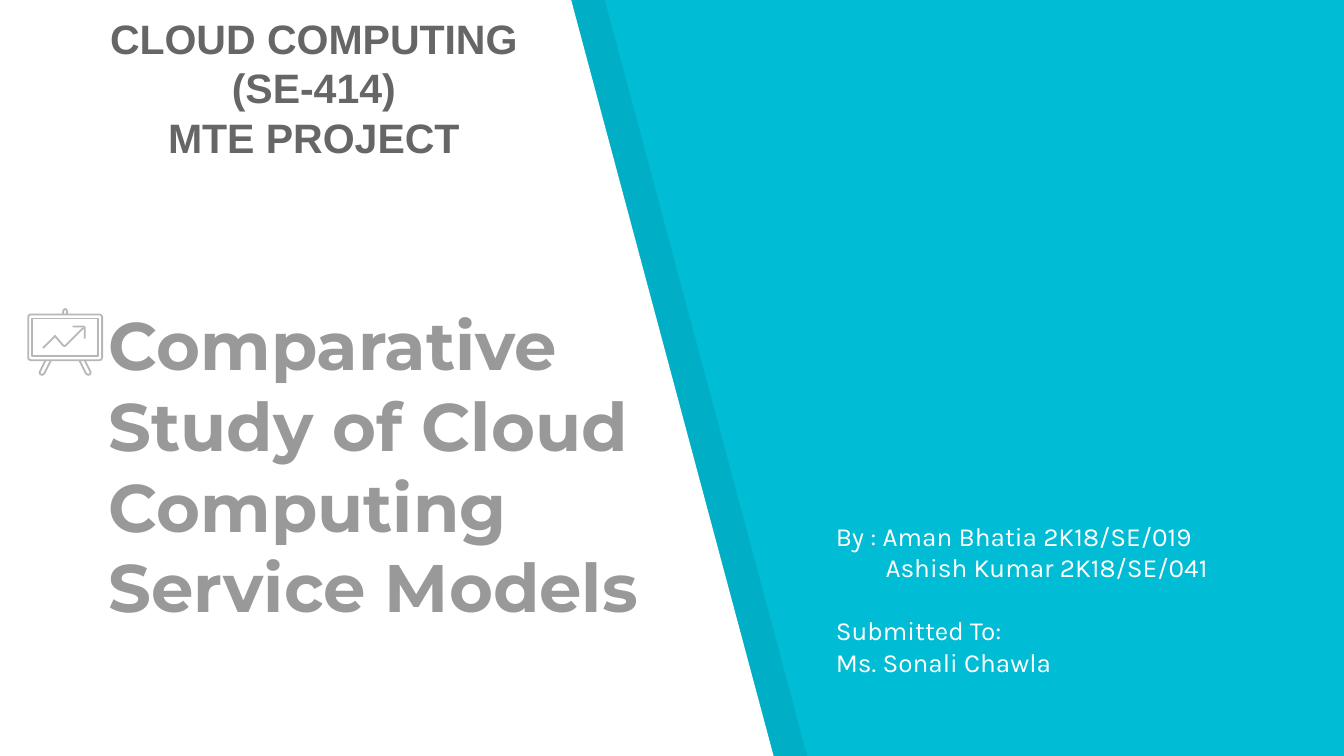
from lxml import etree
from pptx import Presentation
from pptx.dml.color import RGBColor
from pptx.enum.shapes import MSO_SHAPE
from pptx.enum.text import MSO_ANCHOR, PP_ALIGN
from pptx.oxml.ns import qn
from pptx.util import Emu, Inches, Pt

ROUNDED = MSO_SHAPE.ROUNDED_RECTANGLE
RECTANGLE = MSO_SHAPE.RECTANGLE
TOP, BOTTOM = MSO_ANCHOR.TOP, MSO_ANCHOR.BOTTOM
LEFT, CENTER = PP_ALIGN.LEFT, PP_ALIGN.CENTER

CYAN = RGBColor(0x00, 0xBC, 0xD4)
BLACK = RGBColor(0x00, 0x00, 0x00)
WHITE = RGBColor(0xFF, 0xFF, 0xFF)
DARK_GRAY = RGBColor(0x66, 0x66, 0x66)
TITLE_GRAY = RGBColor(0x99, 0x99, 0x99)
ICON_GRAY = RGBColor(0xB7, 0xB7, 0xB7)

# The grid has 100 columns and 56.25 rows of square cells
CELL = Inches(0.1)
ICON_LINE = Pt(0.96)


def cells(count):
    return Emu(round(count * CELL))


class SlideBuilder:
    def __init__(self, presentation, background):
        self.slide = presentation.slides.add_slide(presentation.slide_layouts[6])
        fill = self.slide.background.fill
        fill.solid()
        fill.fore_color.rgb = background

    def freeform(self, points, close):
        # The builder keeps whole numbers only, so points are passed in EMU
        start, *rest = [(cells(column), cells(row)) for column, row in points]
        builder = self.slide.shapes.build_freeform(*start)
        builder.add_line_segments(rest, close=close)
        shape = builder.convert_to_shape()
        shape.shadow.inherit = False
        return shape

    def panel(self, points, color, opacity=100):
        shape = self.freeform(points, close=True)
        shape.line.fill.background()
        shape.fill.solid()
        shape.fill.fore_color.rgb = color
        if opacity < 100:
            color_element = shape.fill._xPr.find(qn("a:solidFill"))[0]
            alpha = etree.SubElement(color_element, qn("a:alpha"))
            alpha.set("val", str(opacity * 1000))

    def outline(self, shape):
        shape.shadow.inherit = False
        shape.fill.background()
        shape.line.color.rgb = ICON_GRAY
        shape.line.width = ICON_LINE

    def stroke(self, points):
        self.outline(self.freeform(points, close=False))

    def frame(self, kind, left, top, width, height):
        shape = self.slide.shapes.add_shape(
            kind, cells(left), cells(top), cells(width), cells(height))
        self.outline(shape)
        return shape

    def text(self, box, lines, font_name, size, color, bold=False,
             align=LEFT, anchor=TOP):
        shape = self.slide.shapes.add_textbox(*map(cells, box))
        frame = shape.text_frame
        frame.word_wrap = True
        frame.vertical_anchor = anchor
        frame.margin_left = frame.margin_right = CELL
        frame.margin_top = frame.margin_bottom = CELL
        for index, line in enumerate(lines):
            paragraph = frame.paragraphs[0] if index == 0 else frame.add_paragraph()
            paragraph.text = line
            paragraph.alignment = align
            font = paragraph.font
            font.name, font.size, font.bold = font_name, Pt(size), bold
            font.color.rgb = color
        return frame.paragraphs


def main():
    presentation = Presentation()
    presentation.slide_width = Inches(10)
    presentation.slide_height = presentation.slide_width * 9 // 16
    builder = SlideBuilder(presentation, CYAN)

    # Slanted white panel over its shadow band
    for offset, color, opacity in ((2.5, BLACK, 7), (0, WHITE, 100)):
        corners = [(0, -0.1), (-0.1, 56.4), (57.6, 56.4), (42.5, 0)]
        builder.panel([(column + offset, row) for column, row in corners],
                      color, opacity)

    # Title
    builder.text((7.1, 34.7, 46.2, 12.9),
                 ["Comparative Study of Cloud Computing Service Models"],
                 "Montserrat", 36, TITLE_GRAY, bold=True, anchor=BOTTOM)

    # Presentation board icon: board, hook, legs, screen, rising arrow
    board = builder.frame(ROUNDED, 2.1, 23.4, 5.5, 3.4)
    board.adjustments[0] = 0.06
    builder.stroke([(4.7, 23.4), (4.7, 23.2), (4.75, 23.05), (4.85, 23),
                    (4.95, 23.05), (5, 23.2), (5, 23.4)])
    leg = [(1.45, 26.8), (1.9, 27.7), (1.85, 27.85), (1.7, 27.9),
           (1.55, 27.8), (1.05, 26.8)]
    for side in (-1, 1):
        builder.stroke([(4.85 + side * reach, row) for reach, row in leg])
    builder.frame(RECTANGLE, 2.4, 23.7, 4.9, 2.8)
    builder.stroke([(6.2, 24.4), (4.9, 25.7), (4.8, 25.75), (4.7, 25.7),
                    (4.1, 25), (3.2, 25.9)])
    builder.stroke([(5.4, 24.3), (6.25, 24.3), (6.3, 24.35), (6.3, 25.2)])

    # Authors and recipient
    credits = builder.text(
        (61.2, 37.7, 30.5, 13.8),
        ["By : Aman Bhatia 2K18/SE/019", "Ashish Kumar 2K18/SE/041",
         "Submitted To:", "Ms. Sonali Chawla"],
        "Karla", 14, WHITE)
    credits[1]._p.get_or_add_pPr().set("marL", str(cells(3.7)))
    credits[2].space_before = Pt(17)

    # Course heading
    builder.text((2.8, 0, 41.1, 13.1),
                 ["CLOUD COMPUTING (SE-414)", "MTE PROJECT"],
                 "Arial", 22, DARK_GRAY, bold=True, align=CENTER)

    presentation.save("out.pptx")


if __name__ == "__main__":
    main()
